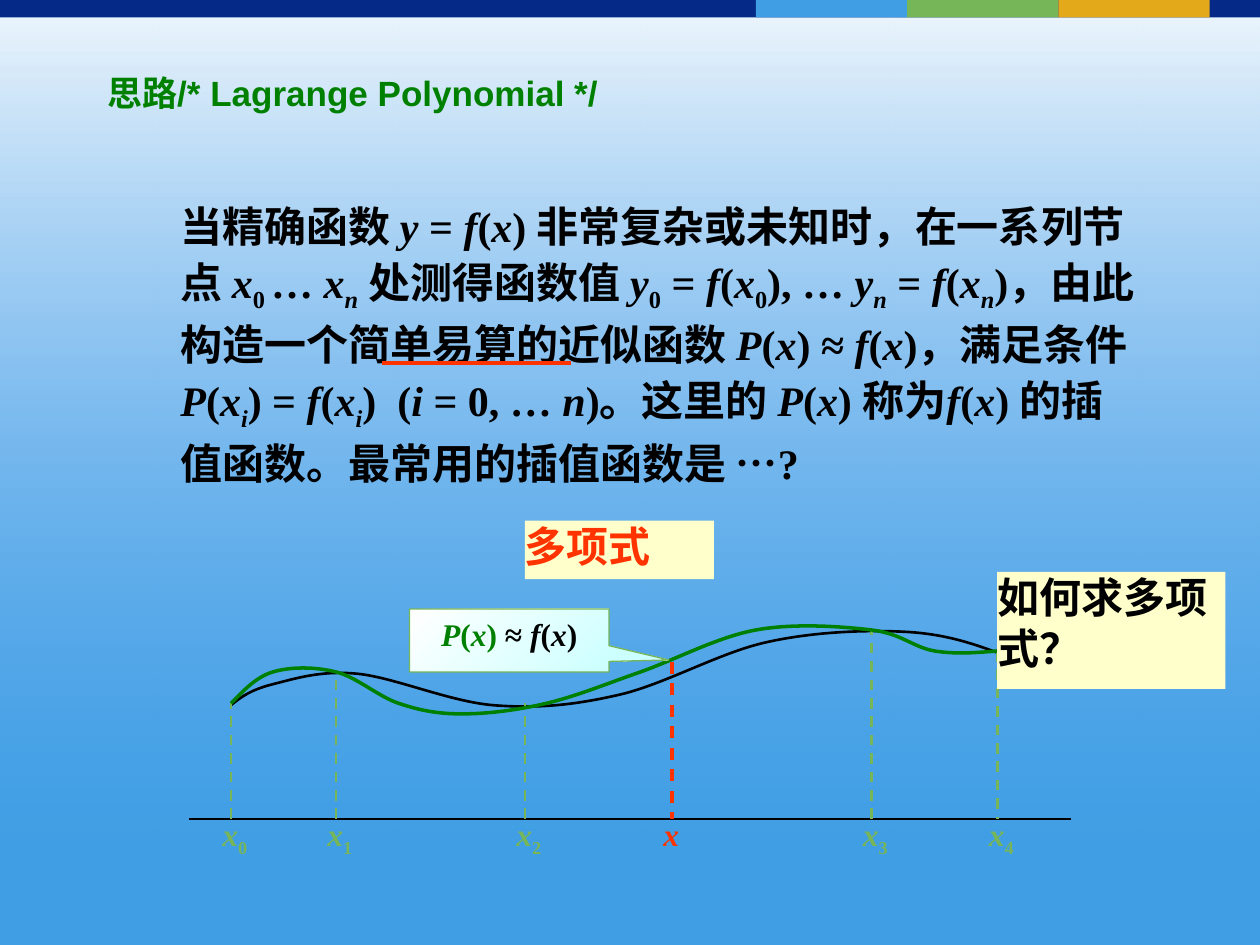
from lxml.etree import SubElement
from pptx import Presentation
from pptx.dml.color import RGBColor
from pptx.enum.dml import MSO_LINE
from pptx.enum.shapes import MSO_CONNECTOR, MSO_SHAPE
from pptx.enum.text import MSO_ANCHOR, MSO_AUTO_SIZE, PP_ALIGN
from pptx.oxml.ns import qn
from pptx.util import Pt

BLACK = RGBColor(0x00, 0x00, 0x00)
WHITE = RGBColor(0xFF, 0xFF, 0xFF)
NAVY = RGBColor(0x04, 0x29, 0x86)
BLUE = RGBColor(0x3F, 0x9E, 0xE4)
SKY = RGBColor(0x7C, 0xB7, 0xF8)
LEAF = RGBColor(0x77, 0xB5, 0x59)
GOLD = RGBColor(0xE4, 0xA8, 0x1B)
GREEN = RGBColor(0x00, 0x80, 0x00)
RED = RGBColor(0xFF, 0x33, 0x00)
CREAM = RGBColor(0xFF, 0xFF, 0xCC)
CYAN = RGBColor(0xCC, 0xFF, 0xFF)

SERIF = "Times New Roman"
AXIS_Y = 468

# Markup: *italic*, ~subscript~
BODY = (
    "当精确函数 *y *= *f*(*x*) 非常复杂或未知时，在一系列节点 *x*~0 ~… *x~n~ *"
    "处测得函数值 *y*~0~ = *f*(*x*~0~), … *y~n~ *= *f*(*x~n~*)，"
    "由此构造一个简单易算的近似函数 *P*(*x*) ≈ *f*(*x*)，"
    "满足条件*P*(*x~i~*) = *f*(*x~i~*)  (*i* = 0, … *n*)。"
    "这里的 *P*(*x*) 称为*f*(*x*) 的插值函数。最常用的插值函数是 …?"
)

# Sample nodes: horizontal place and height of the curve there
NODES = [(132, 402), (192, 384), (300, 402), (498, 360), (570, 372)]

# Bezier points: a start, then two control points and an end per segment
EXACT_CURVE = [
    (132, 403), (138, 398), (144, 394), (156, 391),
    (168, 388), (183, 383), (204, 385),
    (225, 387), (257, 401), (282, 403),
    (307, 405), (328, 403), (354, 397),
    (380, 391), (411, 373), (438, 367),
    (465, 361), (494, 360), (516, 361),
    (538, 362), (554, 367), (570, 373),
]
POLYNOMIAL_CURVE = [
    (132, 402), (139, 395), (146, 387), (156, 384),
    (166, 381), (180, 381), (192, 384),
    (204, 387), (216, 398), (228, 402),
    (240, 406), (250, 408), (264, 408),
    (278, 408), (295, 406), (312, 402),
    (329, 398), (346, 391), (366, 384),
    (386, 377), (410, 364), (432, 360),
    (454, 356), (481, 358), (498, 360),
    (515, 362), (522, 370), (534, 372),
    (546, 374), (558, 373), (570, 372),
]


def add_runs(paragraph, markup, color, size=24):
    for i, part in enumerate(markup.split("*")):
        for j, piece in enumerate(part.split("~")):
            if not piece:
                continue
            run = paragraph.add_run()
            run.text = piece
            font = run.font
            font.name, font.size, font.bold = SERIF, Pt(size), True
            font.italic = i % 2 == 1
            font.color.rgb = color
            if j % 2:
                run._r.get_or_add_rPr().set("baseline", "-25000")


def add_text(slide, left, top, width, height, markup, color, size=24):
    shape = slide.shapes.add_textbox(Pt(left), Pt(top), Pt(width), Pt(height))
    shape.text_frame.word_wrap = True
    paragraph = shape.text_frame.paragraphs[0]
    add_runs(paragraph, markup, color, size)
    return shape


def add_note(slide, left, top, width, height, text, color):
    """Cream answer box without margins."""
    shape = add_text(slide, left, top, width, height, text, color)
    shape.fill.solid()
    shape.fill.fore_color.rgb = CREAM
    frame = shape.text_frame
    frame.margin_left = frame.margin_right = 0
    frame.margin_top = frame.margin_bottom = 0


def add_block(slide, left, top, width, height, color=None, kind=MSO_SHAPE.RECTANGLE):
    shape = slide.shapes.add_shape(kind, Pt(left), Pt(top), Pt(width), Pt(height))
    shape.shadow.inherit = False
    shape.line.fill.background()
    if color is not None:
        shape.fill.solid()
        shape.fill.fore_color.rgb = color
    return shape


def fill_gradient(shape, colors, angle):
    shape.fill.gradient()
    shape.fill.gradient_angle = angle
    for stop, color in zip(shape.fill.gradient_stops, colors):
        stop.color.rgb = color


def add_line(slide, start, end, color, width, dashed=False):
    line = slide.shapes.add_connector(
        MSO_CONNECTOR.STRAIGHT, *(Pt(value) for value in start + end))
    line.line.color.rgb = color
    line.line.width = Pt(width)
    if dashed:
        line.line.dash_style = MSO_LINE.DASH
    SubElement(line._element.spPr, qn("a:effectLst"))


def add_curve(slide, points, color, width):
    builder = slide.shapes.build_freeform(*points[0], scale=Pt(1))
    builder.add_line_segments(points[1:], close=False)
    shape = builder.convert_to_shape()
    shape.shadow.inherit = False
    shape.fill.background()
    shape.line.color.rgb = color
    shape.line.width = Pt(width)
    # Turn each three straight segments into one cubic Bezier
    outline = next(shape._element.iter(qn("a:path")))
    segments = outline.findall(qn("a:lnTo"))
    for first in range(0, len(segments), 3):
        bezier = SubElement(outline, qn("a:cubicBezTo"))
        for segment in segments[first:first + 3]:
            bezier.append(segment[0])
            outline.remove(segment)


def add_node(slide, x, top, label, color, width, downward=False):
    start, end = (x, AXIS_Y), (x, top)
    if downward:
        start, end = end, start
    add_line(slide, start, end, color, width, dashed=True)
    add_text(slide, x - 12, 462, 30, 29, label, color, 18)


def add_background(slide):
    slide.background.fill.solid()
    slide.background.fill.fore_color.rgb = BLUE
    wash = add_block(slide, 0, 0, 720, 495)
    fill_gradient(wash, (SKY, WHITE), 90)
    for color, alpha in zip(wash._element.spPr.iter(qn("a:srgbClr")), (0, 92000)):
        SubElement(color, qn("a:alpha")).set("val", str(alpha))
    # Header strip
    add_block(slide, 0, 0, 720, 10, NAVY)
    for index, color in enumerate((BLUE, LEAF, GOLD)):
        add_block(slide, 432 + 86.4 * index, 0, 86.4, 10, color)


def format_title(slide):
    title = slide.shapes.title
    title.left, title.top, title.width, title.height = Pt(54), Pt(37.5), Pt(552), Pt(31)
    frame = title.text_frame
    frame.text = "思路/* Lagrange Polynomial */"
    frame.auto_size = MSO_AUTO_SIZE.NONE
    frame.vertical_anchor = MSO_ANCHOR.TOP
    paragraph = frame.paragraphs[0]
    paragraph.alignment = PP_ALIGN.LEFT
    font = paragraph.runs[0].font
    font.name, font.size, font.bold = "Arial", Pt(20), True
    font.color.rgb = GREEN
    # Bring the title in front of the background blocks
    slide.shapes._spTree.append(title._element)


def add_callout(slide):
    callout = add_block(slide, 234, 348, 114, 36, kind=MSO_SHAPE.RECTANGULAR_CALLOUT)
    callout.adjustments[0], callout.adjustments[1] = 0.8, 0.31
    fill_gradient(callout, (WHITE, CYAN), 315)
    callout.line.color.rgb = LEAF
    callout.line.width = Pt(0.75)
    callout.text_frame.vertical_anchor = MSO_ANCHOR.TOP
    paragraph = callout.text_frame.paragraphs[0]
    paragraph.alignment = PP_ALIGN.CENTER
    add_runs(paragraph, "*P*(*x*) ", GREEN, 18)
    add_runs(paragraph, "≈ *f*(*x*)", BLACK, 18)


def main():
    presentation = Presentation()
    presentation.slide_width, presentation.slide_height = Pt(720), Pt(540)
    slide = presentation.slides.add_slide(presentation.slide_layouts[5])
    add_background(slide)
    format_title(slide)

    # Explanation and its answer
    body = add_text(slide, 96, 108, 564, 165, BODY, BLACK)
    body.text_frame.paragraphs[0].line_spacing = 1.1
    add_note(slide, 300, 297.5, 108, 33.5, "多项式", RED)

    # Plot: axis, curves, nodes and the query point
    add_line(slide, (108, AXIS_Y), (612, AXIS_Y), BLACK, 1.5)
    add_curve(slide, EXACT_CURVE, BLACK, 1.5)
    for index, (x, top) in enumerate(NODES):
        add_node(slide, x, top, f"*x*~{index}~", LEAF, 1.5, downward=index == 4)
    add_curve(slide, POLYNOMIAL_CURVE, GREEN, 2)
    add_node(slide, 384, 378, "*x*", RED, 1.75, downward=True)
    add_callout(slide)

    # Underline and closing question
    add_line(slide, (218.5, 207.5), (326.5, 207.5), RED, 2)
    add_note(slide, 569.75, 326.75, 130.5, 67, "如何求多项式？", BLACK)

    presentation.save("out.pptx")


if __name__ == "__main__":
    main()
